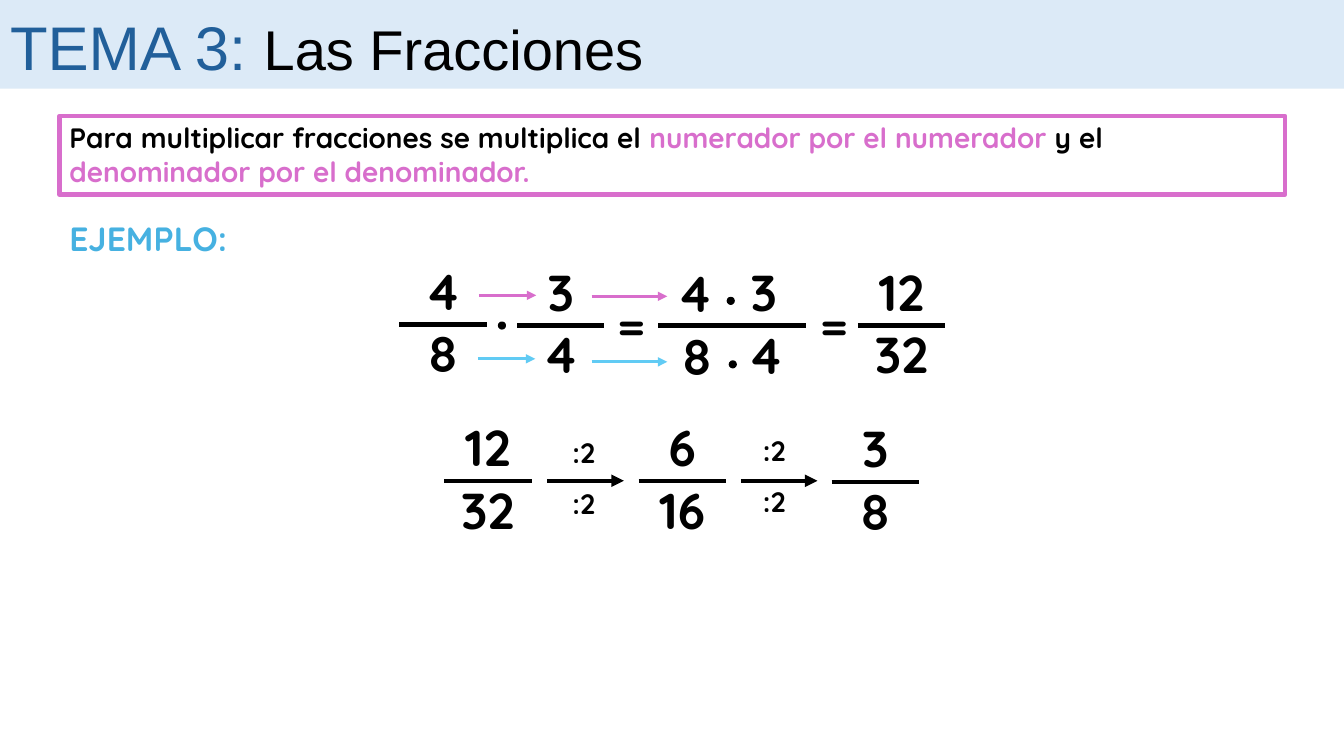
"""Build the slide on multiplying fractions."""
from lxml import etree
from pptx import Presentation
from pptx.dml.color import RGBColor
from pptx.enum.shapes import MSO_CONNECTOR, MSO_SHAPE
from pptx.enum.text import MSO_ANCHOR, MSO_AUTO_SIZE, PP_ALIGN
from pptx.oxml.ns import qn
from pptx.util import Inches, Pt

STRAIGHT = MSO_CONNECTOR.STRAIGHT
RECT, OVAL = MSO_SHAPE.RECTANGLE, MSO_SHAPE.OVAL
LEFT, CENTER = PP_ALIGN.LEFT, PP_ALIGN.CENTER
TOP, NO_FIT = MSO_ANCHOR.TOP, MSO_AUTO_SIZE.NONE

BLACK = RGBColor(0x00, 0x00, 0x00)
PINK = RGBColor(0xD8, 0x6E, 0xCC)
SKY = RGBColor(0x61, 0xCB, 0xF4)
BLUE = RGBColor(0x46, 0xB1, 0xE1)
NAVY = RGBColor(0x21, 0x5F, 0x9A)
PALE = RGBColor(0xDC, 0xEA, 0xF7)

COLUMNS, ROWS = 40, 30


def write(p, text, font="Quicksand", size=20, color=BLACK, bold=True):
    """Append a formatted run to a paragraph."""
    r = p.add_run()
    r.text = text
    r.font.name, r.font.size, r.font.bold = font, Pt(size), bold
    r.font.color.rgb = color


class Board:
    """Draws styled elements on one slide, measured in columns and rows."""

    def __init__(self, prs):
        """Add a title-only slide and set up its grid."""
        self.s = prs.slides.add_slide(prs.slide_layouts[5])
        self.col = prs.slide_width / COLUMNS
        self.row = prs.slide_height / ROWS

    def place(self, x, y, w, h):
        """Convert grid units to lengths."""
        return (round(x * self.col), round(y * self.row),
                round(w * self.col), round(h * self.row))

    def title(self, x, y, w, h, runs):
        """Move, raise and fill the title placeholder."""
        sp = self.s.shapes.title
        sp.left, sp.top, sp.width, sp.height = self.place(x, y, w, h)
        self.s.shapes._spTree.append(sp._element)
        self.fill_text(sp.text_frame, runs, LEFT)

    def fill_text(self, tf, runs, align):
        """Write (text, format) runs into a text frame."""
        tf.word_wrap, tf.auto_size, tf.vertical_anchor = True, NO_FIT, TOP
        p = tf.paragraphs[0]
        p.alignment = align
        for text, style in runs:
            write(p, text, **style)

    def text(self, x, y, w, h, runs, align=LEFT):
        """Add a text box."""
        sp = self.s.shapes.add_textbox(*self.place(x, y, w, h))
        self.fill_text(sp.text_frame, runs, align)

    def shape(self, kind, x, y, w, h, fill=None, line=None, weight=3):
        """Add a preset shape with optional fill and outline."""
        sp = self.s.shapes.add_shape(kind, *self.place(x, y, w, h))
        sp.shadow.inherit = False
        if fill is None:
            sp.fill.background()
        else:
            sp.fill.solid()
            sp.fill.fore_color.rgb = fill
        if line is None:
            sp.line.fill.background()
        else:
            sp.line.color.rgb = line
            sp.line.width = Pt(weight)

    def line(self, x, y, length, color=BLACK, weight=3, arrow=False):
        """Add a horizontal line, with an arrowhead if wanted."""
        left, top, width, _ = self.place(x, y, length, 0)
        sp = self.s.shapes.add_connector(STRAIGHT, left, top, left + width, top)
        sp.line.color.rgb = color
        sp.line.width = Pt(weight)
        if arrow:
            etree.SubElement(sp.line._get_or_add_ln(), qn("a:tailEnd"), type="triangle")
        etree.SubElement(sp._element.spPr, qn("a:effectLst"))

    def dot(self, x, y):
        """Add a multiplication dot centred on a point."""
        self.shape(OVAL, x - 0.09, y - 0.12, 0.18, 0.24, BLACK, BLACK, 1.5)

    def number(self, text, x, y):
        """Add a large number centred on a column."""
        self.text(x - 1.35, y, 2.7, 2.84, [(text, {"size": 36})], CENTER)

    def equals(self, x):
        """Add an equals sign centred on a column."""
        self.text(x - 1.16, 11.6, 2.31, 2.56, [("=", {"size": 32})], CENTER)

    def fraction(self, top, bottom, x, y):
        """Add a fraction centred on its bar."""
        self.number(top, x, y - 2.75)
        self.line(x - 1.3, y, 2.6)
        self.number(bottom, x, y - 0.28)

    def product(self, left, right, x, y):
        """Add two numbers with a dot between them."""
        self.number(left, x - 1.07, y + 0.04)
        self.number(right, x + 0.98, y)
        self.dot(x, y + 1.78)

    def reduction(self, x, y, label_x, label_y):
        """Add an arrow with the divisor above and below it."""
        self.line(x, y, 2.28, arrow=True)
        for offset in (0, 2.04):
            self.text(label_x, label_y + offset, 1.47, 1.76, [(":2", {})])


def main():
    """Build and save the slide."""
    prs = Presentation()
    prs.slide_width, prs.slide_height = Inches(13.33), Inches(7.5)
    board = Board(prs)

    board.shape(RECT, 1.77, 4.6, 36.48, 3.12, line=PINK)
    board.text(1.77, 4.6, 36.48, 3.08, [
        ("Para multiplicar fracciones se multiplica el ", {}),
        ("numerador por el numerador ", {"color": PINK}),
        ("y el ", {}),
        ("denominador por el denominador.", {"color": PINK})])
    board.text(1.77, 8.44, 6.42, 2, [("EJEMPLO:", {"size": 24, "color": BLUE})])

    for top, bottom, x, y in (
            ("4", "8", 13.18, 12.88), ("3", "4", 16.69, 12.92),
            ("12", "32", 26.83, 12.92), ("12", "32", 14.52, 19.08),
            ("6", "16", 20.31, 19.08), ("3", "8", 26.05, 19.12)):
        board.fraction(top, bottom, x, y)

    board.dot(14.94, 12.92)
    board.product("4", "3", 21.75, 10.16)
    board.line(19.59, 12.92, 4.41)
    board.product("8", "4", 21.81, 12.68)
    for x in (18.8, 24.83):
        board.equals(x)

    for x, y, length, color in (
            (14.25, 11.72, 1.71, PINK), (14.22, 14.24, 1.71, SKY),
            (17.61, 11.76, 2.25, PINK), (17.61, 14.36, 2.25, SKY)):
        board.line(x, y, length, color, 2.25, arrow=True)

    board.reduction(16.29, 19.08, 16.74, 17.08)
    board.reduction(22.05, 19.08, 22.41, 17)

    board.shape(RECT, 0, 0, COLUMNS, 3.52, PALE)
    board.title(0, 0.16, 35.55, 3.36, [
        ("TEMA 3: ", {"font": "Arial", "size": 44, "color": NAVY, "bold": False}),
        ("Las Fracciones", {"font": "Arial", "size": 40, "bold": False})])
    prs.save("out.pptx")


if __name__ == "__main__":
    main()
